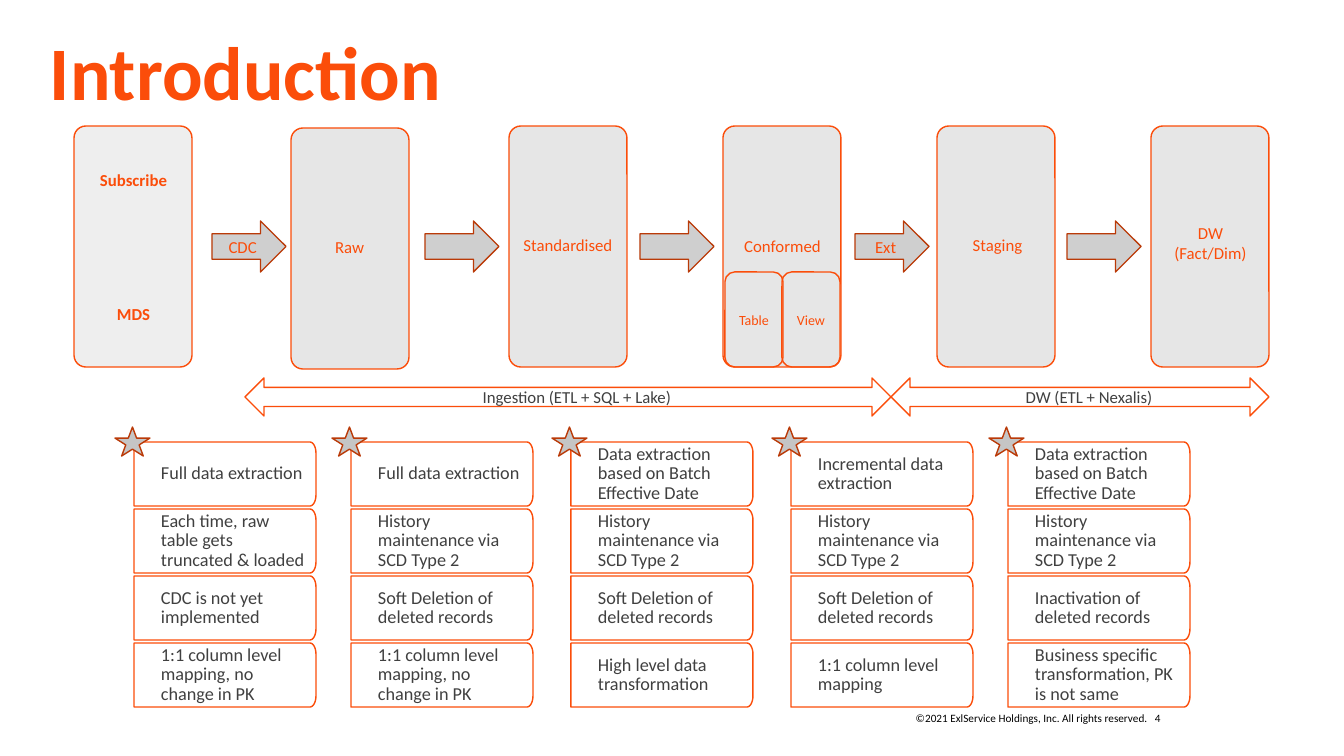
from dataclasses import dataclass
from math import cos, pi, sin

from pptx import Presentation
from pptx.dml.color import RGBColor
from pptx.enum.shapes import MSO_SHAPE
from pptx.enum.text import MSO_ANCHOR, PP_ALIGN
from pptx.util import Emu, Pt

PX_PER_INCH = 100.8
FONT = "Calibri"
ORANGE, DARK_ORANGE = "FB4D0A", "BA3A08"
WHITE, BLACK, TEXT_GREY = "FFFFFF", "000000", "404040"
PALE_GREY, STAGE_GREY, ARROW_GREY, STAR_GREY = "EEEEEE", "E6E6E6", "CFCFCF", "C5C5C5"


@dataclass
class Box:
    left: int
    top: int
    width: int
    height: int


@dataclass
class Label:
    text: str
    box: Box
    bold: bool = False


@dataclass
class Stage:
    left: int
    labels: list[Label]
    top: int = 126
    fill: str = STAGE_GREY


@dataclass
class NoteColumn:
    left: int
    notes: list[str]


def px(value: float) -> Emu:
    return Emu(round(value * 914400 / PX_PER_INCH))


def color(value: str) -> RGBColor:
    return RGBColor.from_string(value)


def write(shape, text: str, size: int, font_color: str, bold: bool = False,
          align=PP_ALIGN.CENTER, anchor=MSO_ANCHOR.MIDDLE,
          insets: tuple = (10, 5, 10, 5), spacing: float = 1.0) -> None:
    frame = shape.text_frame
    frame.word_wrap = True
    frame.vertical_anchor = anchor
    (frame.margin_left, frame.margin_top,
     frame.margin_right, frame.margin_bottom) = map(px, insets)
    paragraph = frame.paragraphs[0]
    paragraph.text = text
    paragraph.alignment = align
    paragraph.line_spacing = spacing
    font = paragraph.font
    font.name, font.size, font.bold = FONT, Pt(size), bold
    font.color.rgb = color(font_color)


def paint(shape, fill: str | None, line: str | None) -> None:
    shape.shadow.inherit = False
    if fill:
        shape.fill.solid()
        shape.fill.fore_color.rgb = color(fill)
    else:
        shape.fill.background()
    if line:
        shape.line.color.rgb = color(line)
        shape.line.width = Pt(1)
    else:
        shape.line.fill.background()


def add_preset(slide, preset, box: Box, fill: str | None, line: str | None):
    shape = slide.shapes.add_shape(
        preset, px(box.left), px(box.top), px(box.width), px(box.height))
    paint(shape, fill, line)
    return shape


def add_text(slide, box: Box, text: str, size: int, font_color: str, **style) -> None:
    shape = slide.shapes.add_textbox(
        px(box.left), px(box.top), px(box.width), px(box.height))
    write(shape, text, size, font_color, anchor=MSO_ANCHOR.TOP, **style)


def add_stage(slide, stage: Stage) -> None:
    shape = add_preset(slide, MSO_SHAPE.ROUNDED_RECTANGLE,
                       Box(stage.left, stage.top, 118, 241), stage.fill, ORANGE)
    shape.adjustments[0] = 0.1
    for label in stage.labels:
        shape = add_preset(slide, MSO_SHAPE.RECTANGLE, label.box, stage.fill, None)
        write(shape, label.text, 12, ORANGE, label.bold, anchor=MSO_ANCHOR.TOP)


def add_note(slide, box: Box, text: str) -> None:
    """Card with square left corners and elliptical right corners."""
    radius_x, radius_y, steps = 6, 11, 8
    right, bottom = box.left + box.width, box.top + box.height
    angles = [pi / 2 * step / steps for step in range(steps + 1)]
    upper = [(right - radius_x + radius_x * sin(a), box.top + radius_y - radius_y * cos(a))
             for a in angles]
    lower = [(x, box.top + bottom - y) for x, y in reversed(upper)]
    points = [(px(x), px(y)) for x, y in [*upper, *lower, (box.left, bottom)]]
    builder = slide.shapes.build_freeform(px(box.left), px(box.top))
    builder.add_line_segments(points, close=True)
    shape = builder.convert_to_shape()
    paint(shape, WHITE, ORANGE)
    write(shape, text, 13, TEXT_GREY, align=PP_ALIGN.LEFT,
          insets=(27, 9, 9, 9), spacing=0.9)


def add_note_column(slide, column: NoteColumn) -> None:
    for row, note in enumerate(column.notes):
        add_note(slide, Box(column.left, 442 + 67 * row, 182, 64), note)
    add_preset(slide, MSO_SHAPE.STAR_5_POINT, Box(column.left - 19, 427, 35, 29),
               STAR_GREY, DARK_ORANGE)


STAGES = [
    Stage(74, [Label("Subscribe", Box(84, 165, 99, 36), True),
               Label("MDS", Box(84, 299, 99, 30), True)], fill=PALE_GREY),
    Stage(291, [Label("Raw", Box(300, 232, 99, 29))], top=128),
    Stage(509, [Label("Standardised", Box(513, 230, 110, 30))]),
    Stage(723, [Label("Conformed", Box(733, 231, 99, 29))]),
    Stage(937, [Label("Staging", Box(948, 230, 99, 29))]),
    Stage(1151, [Label("DW (Fact/Dim)", Box(1161, 218, 99, 48))]),
]
FLOW_ARROWS = [(212, "CDC"), (425, ""), (640, ""), (855, "Ext"), (1067, "")]
SPANS = [(Box(245, 378, 646, 38), "Ingestion (ETL + SQL + Lake)"),
         (Box(891, 378, 378, 38), "DW (ETL + Nexalis)")]
CONFORMED_PARTS = [(725, "Table"), (782, "View")]

BATCH = "Data extraction based on Batch Effective Date"
HISTORY = "History maintenance via SCD Type 2"
SOFT_DELETION = "Soft Deletion of deleted records"
SAME_KEY = "1:1 column level mapping, no change in PK"
NOTE_COLUMNS = [
    NoteColumn(134, ["Full data extraction",
                     "Each time, raw table gets truncated & loaded",
                     "CDC is not yet implemented", SAME_KEY]),
    NoteColumn(351, ["Full data extraction", HISTORY, SOFT_DELETION, SAME_KEY]),
    NoteColumn(571, [BATCH, HISTORY, SOFT_DELETION, "High level data transformation"]),
    NoteColumn(791, ["Incremental data extraction", HISTORY, SOFT_DELETION,
                     "1:1 column level mapping"]),
    NoteColumn(1008, [BATCH, HISTORY, "Inactivation of deleted records",
                      "Business specific transformation, PK is not same"]),
]


def main() -> None:
    presentation = Presentation()
    presentation.slide_width, presentation.slide_height = px(1344), px(756)
    slide = presentation.slides.add_slide(presentation.slide_layouts[6])

    # Footer and title
    add_text(slide, Box(888, 706, 270, 24),
             "©2021 ExlService Holdings, Inc. All rights reserved.", 8, BLACK,
             align=PP_ALIGN.RIGHT)
    add_text(slide, Box(1145, 706, 64, 24), "4", 8, BLACK, align=PP_ALIGN.LEFT)
    add_text(slide, Box(50, 42, 1243, 103), "Introduction", 54, ORANGE, bold=True,
             align=PP_ALIGN.LEFT, insets=(0, 0, 0, 0), spacing=0.8)

    # Pipeline stages and the arrows between them
    for stage in STAGES:
        add_stage(slide, stage)
    for left, text in FLOW_ARROWS:
        arrow = add_preset(slide, MSO_SHAPE.RIGHT_ARROW, Box(left, 221, 74, 51),
                           ARROW_GREY, DARK_ORANGE)
        if text:
            write(arrow, text, 12, ORANGE)

    # Notes below the stages
    for column in NOTE_COLUMNS:
        add_note_column(slide, column)

    # Tool spans
    for box, text in SPANS:
        span = add_preset(slide, MSO_SHAPE.LEFT_RIGHT_ARROW, box, WHITE, ORANGE)
        write(span, text, 12, TEXT_GREY, insets=(27, 9, 9, 9))

    # Parts of the conformed stage
    for left, text in CONFORMED_PARTS:
        part = add_preset(slide, MSO_SHAPE.ROUNDED_RECTANGLE, Box(left, 272, 58, 95),
                          None, ORANGE)
        write(part, text, 10, ORANGE)

    presentation.save("out.pptx")


if __name__ == "__main__":
    main()
